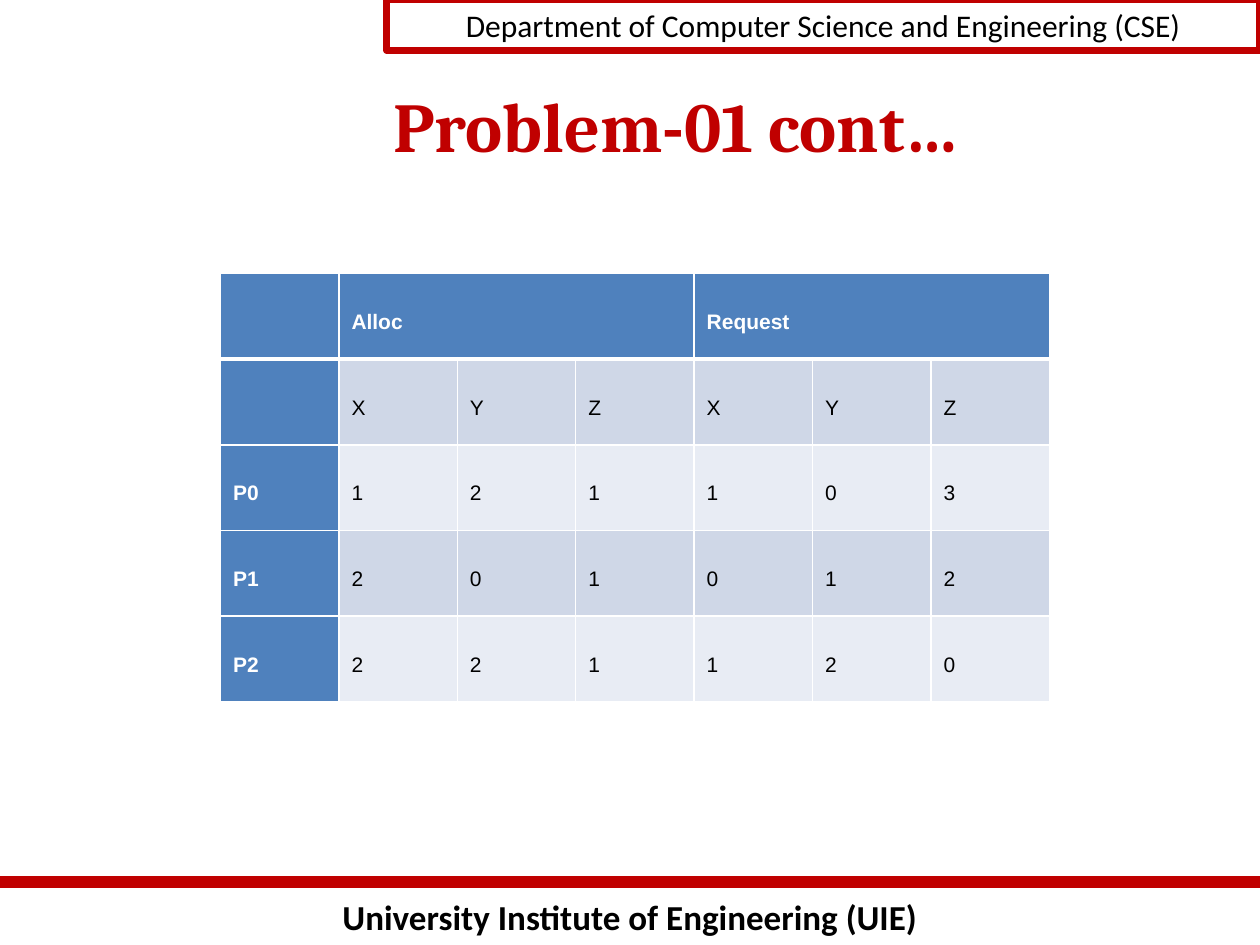
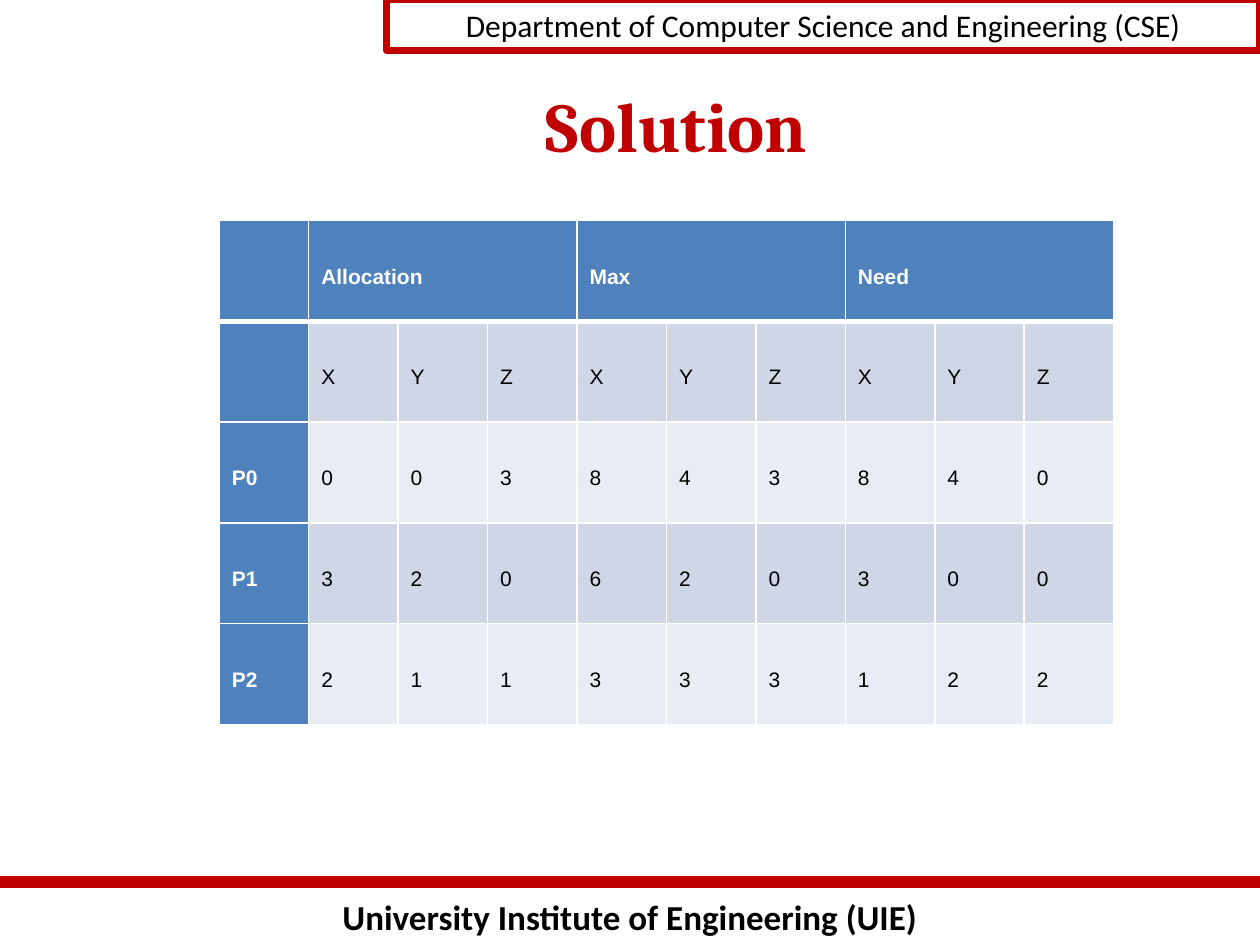
"""Build two slides of resource allocation tables."""
from lxml import etree
from pptx import Presentation
from pptx.dml.color import RGBColor
from pptx.enum import shapes, text
from pptx.oxml import ns
from pptx.util import Inches, Pt

RED = RGBColor(0xC0, 0x00, 0x00)
BLACK = RGBColor(0x00, 0x00, 0x00)
WHITE = RGBColor(0xFF, 0xFF, 0xFF)
HEADER_BLUE = RGBColor(0x4F, 0x81, 0xBD)
BAND_DARK = RGBColor(0xCF, 0xD7, 0xE7)
BAND_LIGHT = RGBColor(0xE8, 0xEC, 0xF4)

SLIDES = [
    ("Problem-01 cont…", 1.75, 2.17, 0.94, 0.68, ["Alloc", "Request"],
     {"P0": "121103", "P1": "201012", "P2": "221120"}),
    ("Solution", 1.74, 1.75, 0.71, 0.8, ["Allocation", "Max", "Need"],
     {"P0": "003843840", "P1": "320620300", "P2": "211333122"}),
]


def write(tf, words, font, size, color, bold=False, align=text.PP_ALIGN.CENTER):
    tf.word_wrap = True
    p = tf.paragraphs[0]
    p.text = words
    p.alignment = align
    for r in p.runs:
        r.font.name, r.font.size, r.font.bold = font, Pt(size), bold
        r.font.color.rgb = color
    return p


def add_borders(cell, **widths):
    tc_pr = cell._tc.get_or_add_tcPr()
    for side in "LRTB":
        ln = etree.SubElement(tc_pr, ns.qn(f"a:ln{side}"), w=str(Pt(widths.get(side, 1))))
        fill = etree.SubElement(ln, ns.qn("a:solidFill"))
        etree.SubElement(fill, ns.qn("a:srgbClr"), val=str(WHITE))


prs = Presentation()
prs.slide_width, prs.slide_height = Inches(10), Inches(7.5)

for title, left, top, col_width, row_height, groups, processes in SLIDES:
    s = prs.slides.add_slide(prs.slide_layouts[6])

    footer = s.shapes.add_textbox(Inches(0), Inches(7.06), Inches(10), Inches(0.44))
    write(footer.text_frame, "University Institute of Engineering (UIE)", "Calibri", 20, BLACK, True)

    rule = s.shapes.add_connector(shapes.MSO_CONNECTOR.STRAIGHT, Inches(0), Inches(7), Inches(10), Inches(7))
    rule.line.color.rgb = RED
    rule.line.width = Pt(7)
    etree.SubElement(rule._element.spPr, ns.qn("a:effectLst"))

    header = s.shapes.add_shape(shapes.MSO_SHAPE.RECTANGLE, Inches(3.07), Inches(0), Inches(6.93), Inches(0.4))
    header.shadow.inherit = False
    header.fill.background()
    header.line.color.rgb = RED
    header.line.width = Pt(4)
    write(header.text_frame, "Department of Computer Science and Engineering (CSE)", "Calibri", 18, BLACK)

    heading = s.shapes.add_textbox(Inches(1.17), Inches(0.67), Inches(8.4), Inches(0.63))
    heading.text_frame.vertical_anchor = text.MSO_ANCHOR.MIDDLE
    write(heading.text_frame, title, "Cambria", 40, RED, True)

    rows = [[""], ["", *"XYZ" * len(groups)]]
    for group in groups:
        rows[0] += [group, "", ""]
    rows += [[name, *values] for name, values in processes.items()]
    n_cols = len(rows[0])

    table = s.shapes.add_table(len(rows), n_cols, Inches(left), Inches(top),
                               Inches(col_width * n_cols), Inches(row_height * len(rows))).table
    for column in table.columns:
        column.width = Inches(col_width)
    for row in table.rows:
        row.height = Inches(row_height)
    for first in range(1, n_cols, 3):
        table.cell(0, first).merge(table.cell(0, first + 2))

    for i, row in enumerate(rows):
        for j, value in enumerate(row):
            cell = table.cell(i, j)
            is_header = i == 0 or j == 0
            add_borders(cell, T=3 if i == 1 else 1, B=3 if i == 0 else 1)
            cell.fill.solid()
            cell.fill.fore_color.rgb = HEADER_BLUE if is_header else BAND_DARK if i % 2 else BAND_LIGHT
            cell.margin_left = cell.margin_right = Inches(0.1)
            cell.margin_top = cell.margin_bottom = Inches(0.08)
            cell.vertical_anchor = text.MSO_ANCHOR.MIDDLE
            if value:
                p = write(cell.text_frame, value, "Arial", 12, WHITE if is_header else BLACK,
                          is_header, text.PP_ALIGN.LEFT)
                p.line_spacing = 1.5

prs.save("out.pptx")
